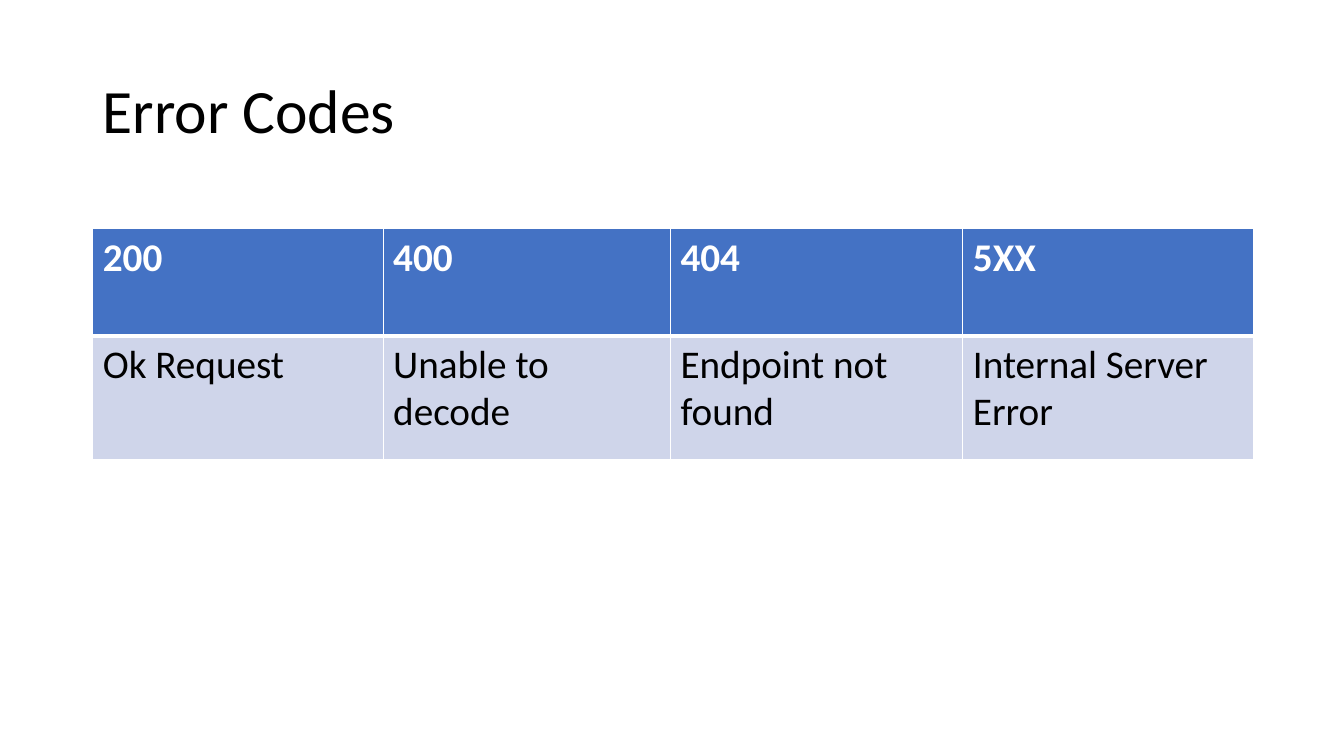
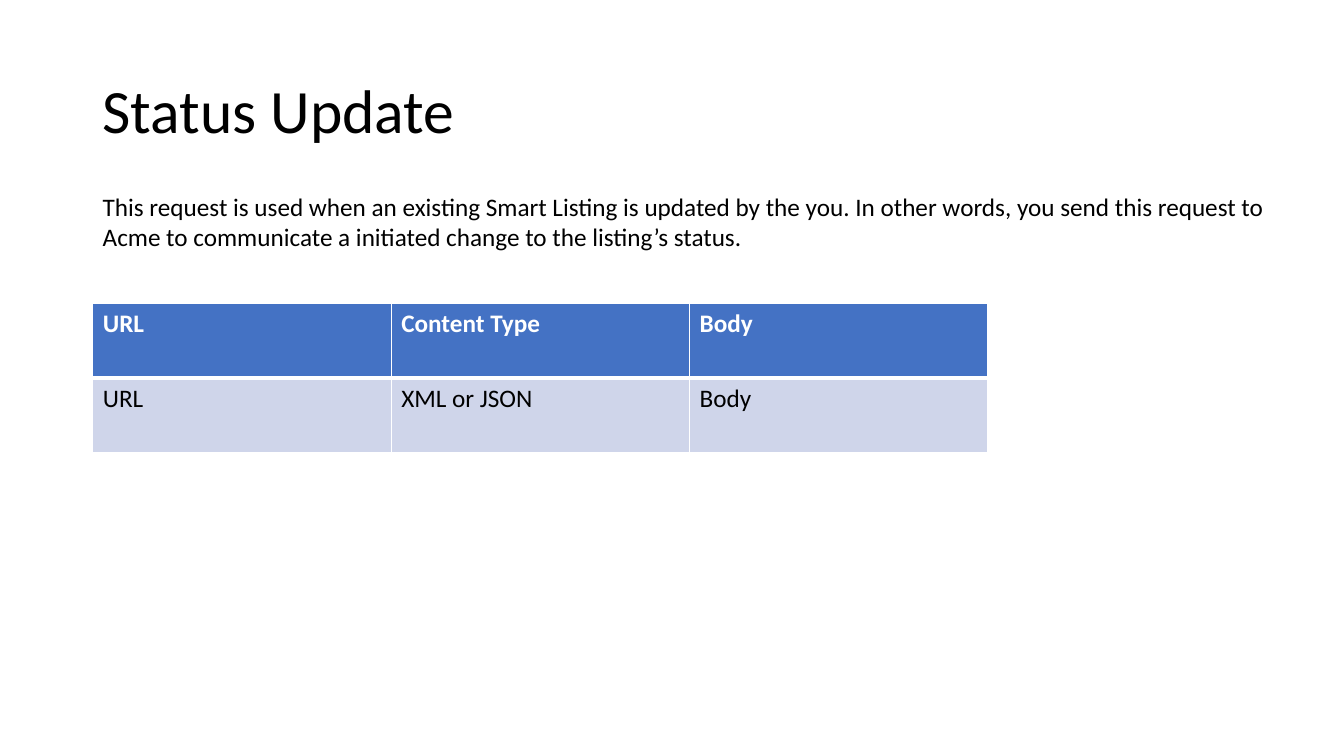
"""Build two slides on API error codes and status updates."""
from dataclasses import dataclass

from lxml import etree
from pptx import Presentation
from pptx.dml.color import RGBColor
from pptx.enum import text
from pptx.oxml import ns
from pptx.slide import Slide
from pptx.table import _Cell
from pptx.util import Inches, Pt

FONT = "Calibri"
BLACK = RGBColor(0x00, 0x00, 0x00)
WHITE = RGBColor(0xFF, 0xFF, 0xFF)
BLUE = RGBColor(0x44, 0x72, 0xC4)
PALE_BLUE = RGBColor(0xCF, 0xD5, 0xEA)
LEFT = 0.92
CONTENT_WIDTH = 11.5
THIN, THICK = 1, 3


@dataclass(frozen=True)
class TableSpec:
    top: float
    widths: tuple[float, ...]
    heights: tuple[float, ...]
    size: int
    rows: tuple[tuple[str, ...], ...]


@dataclass(frozen=True)
class SlideSpec:
    title: str
    table: TableSpec
    intro: str = ""


SLIDES = (
    SlideSpec(
        "Error Codes",
        TableSpec(2.27, (2.88, 2.85, 2.9, 2.88), (1.06, 1.23), 28, (
            ("200", "400", "404", "5XX"),
            ("Ok Request", "Unable to decode", "Endpoint not found",
             "Internal Server Error"),
        )),
    ),
    SlideSpec(
        "Status Update",
        TableSpec(3.01, (2.96,) * 3, (0.74,) * 2, 18, (
            ("URL", "Content Type", "Body"),
            ("URL", "XML or JSON", "Body"),
        )),
        "This request is used when an existing Smart Listing is updated by the you. "
        "In other words, you send this request to Acme to communicate a initiated "
        "change to the listing’s status.",
    ),
)


def format_text(tf, size: int, color: RGBColor, bold: bool = False) -> None:
    for p in tf.paragraphs:
        for r in p.runs:
            r.font.name = FONT
            r.font.size = Pt(size)
            r.font.bold = bold
            r.font.color.rgb = color


def add_text(s: Slide, content: str, top: float, width: float, height: float,
             size: int):
    sp = s.shapes.add_textbox(Inches(LEFT), Inches(top), Inches(width), Inches(height))
    tf = sp.text_frame
    tf.word_wrap = True
    tf.text = content
    format_text(tf, size, BLACK)
    return tf


def add_title(s: Slide, title: str) -> None:
    tf = add_text(s, title, 0.4, CONTENT_WIDTH, 1.45, 44)
    tf.vertical_anchor = text.MSO_ANCHOR.MIDDLE
    tf.paragraphs[0].line_spacing = 0.9


def set_borders(cell: _Cell, top: int, bottom: int) -> None:
    tc_pr = cell._tc.get_or_add_tcPr()
    for side, width in (("L", THIN), ("R", THIN), ("T", top), ("B", bottom)):
        ln = etree.SubElement(tc_pr, ns.qn(f"a:ln{side}"), w=str(Pt(width)))
        fill = etree.SubElement(ln, ns.qn("a:solidFill"))
        etree.SubElement(fill, ns.qn("a:srgbClr"), val=str(WHITE))


def add_table(s: Slide, spec: TableSpec) -> None:
    table = s.shapes.add_table(
        len(spec.heights), len(spec.widths), Inches(LEFT), Inches(spec.top),
        Inches(sum(spec.widths)), Inches(sum(spec.heights))).table
    for column, width in zip(table.columns, spec.widths):
        column.width = Inches(width)
    for i, (row, height, labels) in enumerate(zip(table.rows, spec.heights, spec.rows)):
        row.height = Inches(height)
        header = i == 0
        for cell, label in zip(row.cells, labels):
            set_borders(cell, *((THIN, THICK) if header else (THICK, THIN)))
            cell.fill.solid()
            cell.fill.fore_color.rgb = BLUE if header else PALE_BLUE
            cell.text_frame.text = label
            format_text(cell.text_frame, spec.size, WHITE if header else BLACK, header)


def main() -> None:
    prs = Presentation()
    prs.slide_width, prs.slide_height = Inches(13.33), Inches(7.5)
    for spec in SLIDES:
        s = prs.slides.add_slide(prs.slide_layouts[6])
        add_title(s, spec.title)
        add_table(s, spec.table)
        if spec.intro:
            add_text(s, spec.intro, 1.85, 11.72, 0.71, 18)
    prs.save("out.pptx")


if __name__ == "__main__":
    main()
